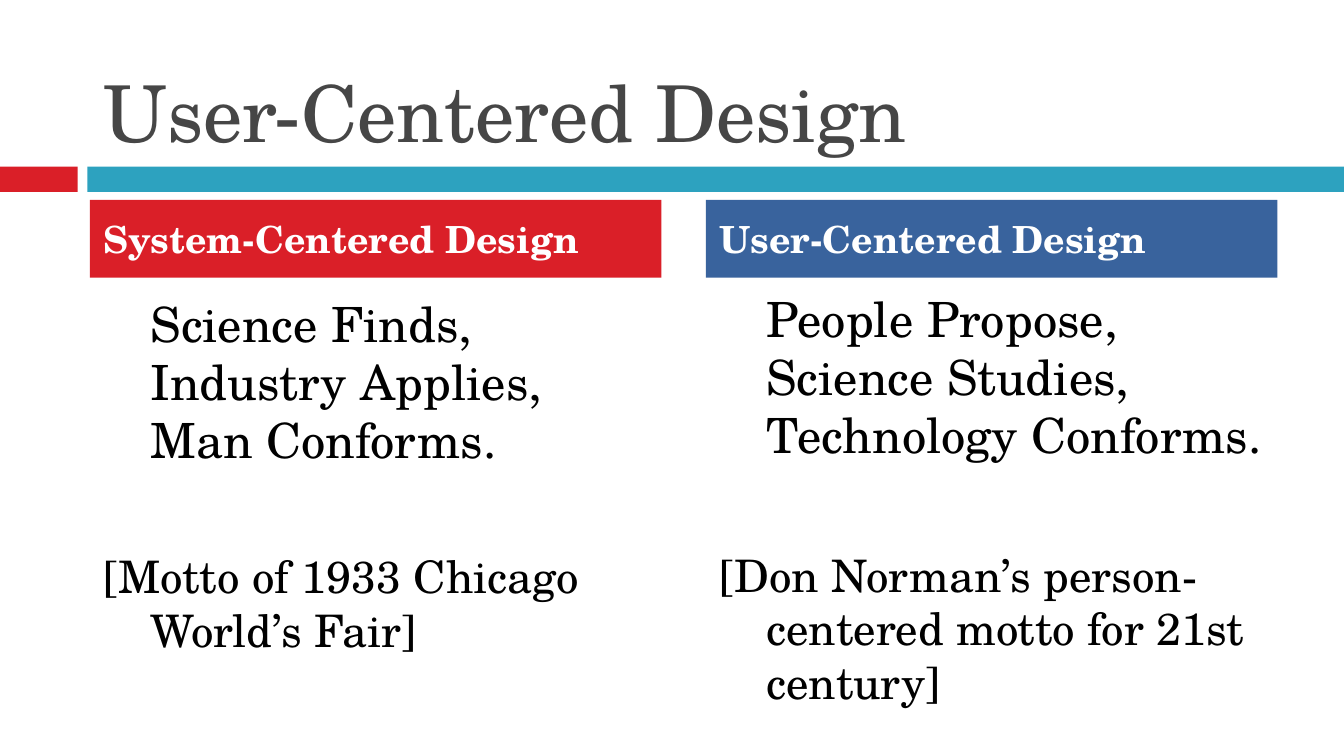
from dataclasses import dataclass

from lxml.etree import SubElement
from pptx import Presentation
from pptx.dml.color import RGBColor
from pptx.enum.shapes import MSO_SHAPE as Shape
from pptx.enum.text import MSO_ANCHOR as Anchor, MSO_AUTO_SIZE as AutoSize, PP_ALIGN as Align
from pptx.oxml.ns import qn
from pptx.util import Cm, Pt


@dataclass(frozen=True)
class Theme:
    font: str = "TeX Gyre Schola"
    red: str = "DA1F28"
    teal: str = "2DA2BF"
    blue: str = "39639D"
    gray: str = "464646"
    black: str = "000000"
    white: str = "FFFFFF"
    title_size: int = 42
    heading_size: int = 20
    motto_size: int = 26
    source_size: int = 24


@dataclass(frozen=True)
class Box:
    left: float
    top: float
    width: float
    height: float


@dataclass(frozen=True)
class Column:
    heading: str
    fill: str
    motto: str
    source: str
    left: float
    body_top: float
    gap: int


THEME = Theme()
COMPARISON_LAYOUT = 4
COLUMN_WIDTH = 10.8
INDENT = 0.89

BANDS = [
    (Box(0, 3.15, 1.47, 0.48), THEME.red),
    (Box(1.65, 3.15, 23.75, 0.48), THEME.teal),
]
COLUMNS = [
    Column("System-Centered Design", THEME.red,
           "Science Finds, Industry Applies, Man Conforms.",
           "[Motto of 1933 Chicago World’s Fair]", 1.7, 5.43, 43),
    Column("User-Centered Design", THEME.blue,
           "People Propose, Science Studies, Technology Conforms.",
           "[Don Norman’s person-centered motto for 21st century]", 13.34, 5.33, 45),
]


def paint(shape, color: str) -> None:
    shape.fill.solid()
    shape.fill.fore_color.rgb = RGBColor.from_string(color)


def place(shape, box: Box, anchor: Anchor) -> None:
    """Move a placeholder and fix how its text sits."""
    for name in ("left", "top", "width", "height"):
        setattr(shape, name, Cm(getattr(box, name)))
    frame_format = {"word_wrap": True, "auto_size": AutoSize.NONE, "vertical_anchor": anchor}
    for name, value in frame_format.items():
        setattr(shape.text_frame, name, value)


def write(para, text: str, size: int, color: str, bold: bool = False,
          margin: float = 0, first_line: float = 0, before: int = 0) -> None:
    """Fill a paragraph without a bullet."""
    properties = para._p.get_or_add_pPr()
    properties.set("marL", str(Cm(margin)))
    properties.set("indent", str(Cm(first_line)))
    SubElement(properties, qn("a:buNone"))
    para.alignment = Align.LEFT
    para.space_before = Pt(before)
    span = para.add_run()
    span.text = text
    for name, value in {"name": THEME.font, "size": Pt(size), "bold": bold}.items():
        setattr(span.font, name, value)
    span.font.color.rgb = RGBColor.from_string(color)


def draw_band(page, box: Box, color: str) -> None:
    band = page.shapes.add_shape(Shape.RECTANGLE, Cm(box.left), Cm(box.top),
                                 Cm(box.width), Cm(box.height))
    band.shadow.inherit = False
    band.line.fill.background()
    paint(band, color)


def draw_column(heading, body, column: Column) -> None:
    place(heading, Box(column.left, 3.78, COLUMN_WIDTH, 1.47), Anchor.MIDDLE)
    paint(heading, column.fill)
    write(heading.text_frame.paragraphs[0], column.heading,
          THEME.heading_size, THEME.white, bold=True)

    place(body, Box(column.left, column.body_top, COLUMN_WIDTH, 7.32), Anchor.TOP)
    write(body.text_frame.paragraphs[0], column.motto,
          THEME.motto_size, THEME.black, margin=INDENT)
    write(body.text_frame.add_paragraph(), column.source, THEME.source_size,
          THEME.black, margin=INDENT, first_line=-INDENT, before=column.gap)


def main() -> None:
    deck = Presentation()
    deck.slide_width, deck.slide_height = Cm(25.4), Cm(14.29)
    page = deck.slides.add_slide(deck.slide_layouts[COMPARISON_LAYOUT])

    # Title and the bands below it
    title = page.shapes.title
    place(title, Box(1.7, 0.33, 22.66, 2.79), Anchor.BOTTOM)
    write(title.text_frame.paragraphs[0], "User-Centered Design",
          THEME.title_size, THEME.gray)
    for box, color in BANDS:
        draw_band(page, box, color)

    # Two compared columns: placeholders 1 and 2, then 3 and 4
    for number, column in enumerate(COLUMNS):
        heading, body = (page.placeholders[2 * number + part] for part in (1, 2))
        draw_column(heading, body, column)

    deck.save("out.pptx")


if __name__ == "__main__":
    main()
